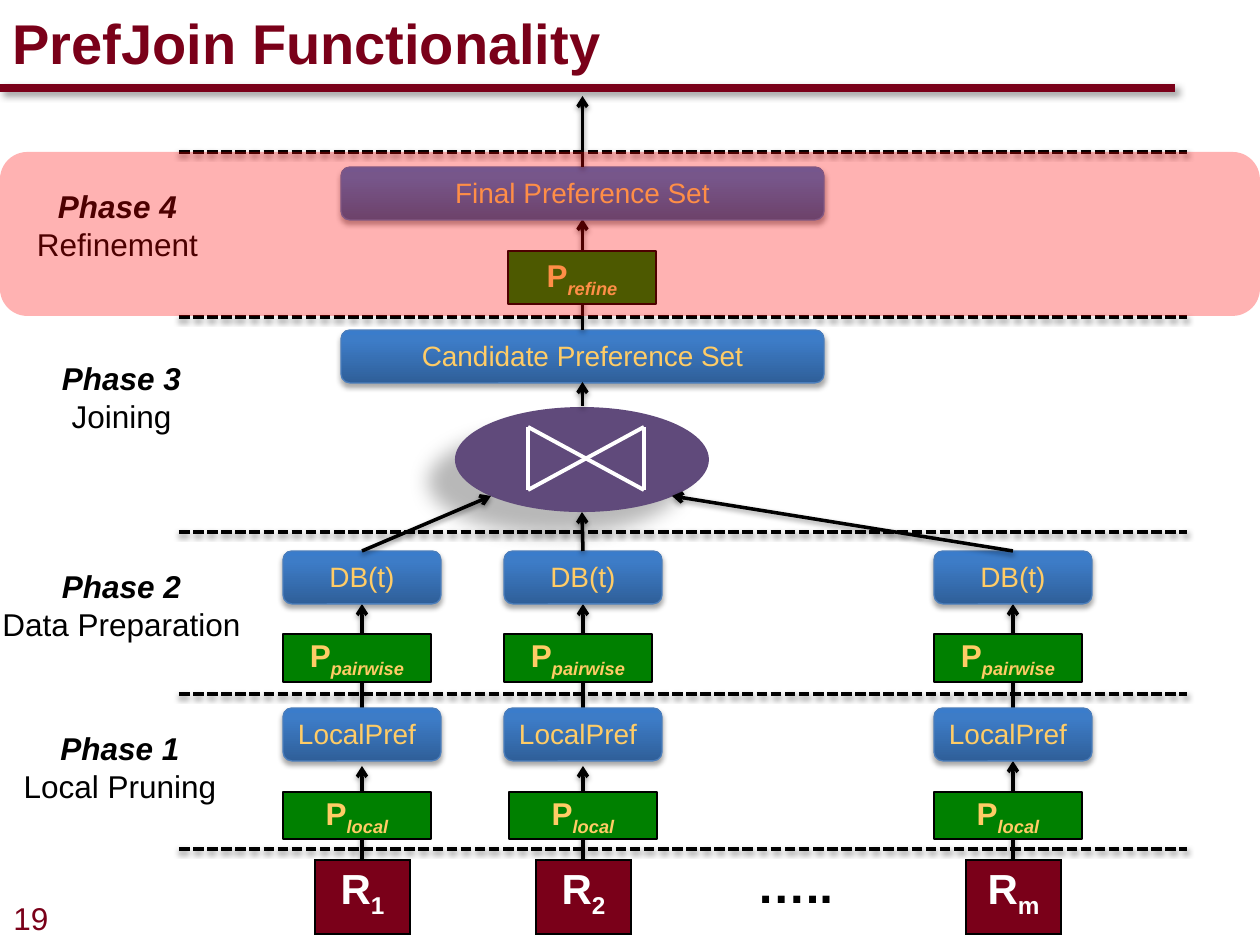
from lxml import etree
from pptx import Presentation
from pptx.dml.color import RGBColor
from pptx.enum.dml import MSO_LINE
from pptx.enum.shapes import MSO_CONNECTOR, MSO_SHAPE
from pptx.enum.text import MSO_ANCHOR, PP_ALIGN
from pptx.oxml import parse_xml
from pptx.oxml.ns import qn
from pptx.util import Emu, Pt

LEFT, CENTER = PP_ALIGN.LEFT, PP_ALIGN.CENTER
TOP, MIDDLE = MSO_ANCHOR.TOP, MSO_ANCHOR.MIDDLE
RECT, ROUND, OVAL = MSO_SHAPE.RECTANGLE, MSO_SHAPE.ROUNDED_RECTANGLE, MSO_SHAPE.OVAL
STRAIGHT, DASH = MSO_CONNECTOR.STRAIGHT, MSO_LINE.SQUARE_DOT
MAROON, GOLD, GREEN, PURPLE = "7A0019", "FFCC66", "008000", "604A7B"
BLACK, WHITE = "000000", "FFFFFF"
NS = 'xmlns:a="http://schemas.openxmlformats.org/drawingml/2006/main"'
BLUE_STOPS = [(0, "2F5F99"), (80, "3D7CC7"), (100, "3A7CCB")]
LINE_SHADOW = (38, 3.1, 1.6, 90)
BOX_SHADOW = (35, 3.1, 1.8, 90)
OVAL_SHADOW = (28, 11.8, 19.7, 141)
RULE_SHADOW = (40, 4, 3, 45)


def px(*values):
    return [Emu(round(v * 914400 / 126)) for v in values]


def rgb(value):
    return RGBColor.from_string(value)


def set_shadow(sp, shadow=None):
    spPr = sp._element.spPr
    effects = spPr.find(qn("a:effectLst"))
    if effects is None:
        effects = etree.SubElement(spPr, qn("a:effectLst"))
    if shadow:
        alpha, blur, dist, angle = shadow
        effects.append(parse_xml(
            f'<a:outerShdw {NS} blurRad="{Pt(blur)}" dist="{Pt(dist)}" '
            f'dir="{angle * 60000}" rotWithShape="0"><a:srgbClr val="{BLACK}">'
            f'<a:alpha val="{alpha * 1000}"/></a:srgbClr></a:outerShdw>'))


def add_line(shapes, x1, y1, x2, y2, color=BLACK, width=2, shadow=LINE_SHADOW,
             arrow=False, dash=None):
    line = shapes.add_connector(STRAIGHT, *px(x1, y1, x2, y2))
    line.line.color.rgb = rgb(color)
    line.line.width = Pt(width)
    if dash:
        line.line.dash_style = dash
    if arrow:
        etree.SubElement(line.line._ln, qn("a:tailEnd"), type="arrow")
    set_shadow(line, shadow)


def add_arrow(s, x1, y1, x2, y2):
    add_line(s.shapes, x1, y1, x2, y2, arrow=True)


def add_shape(shapes, kind, x, y, w, h, fill=None, shadow=None):
    sp = shapes.add_shape(kind, *px(x, y, w, h))
    sp.shadow.inherit = False
    if fill:
        sp.fill.solid()
        sp.fill.fore_color.rgb = rgb(fill)
    sp.line.fill.background()
    set_shadow(sp, shadow)
    return sp


def format_paragraph(p, size, color, bold=False, italic=False, align=CENTER):
    p.alignment = align
    p.font.name = "Arial"
    p.font.size = Pt(size)
    p.font.color.rgb = rgb(color)
    p.font.bold = bold
    p.font.italic = italic


def write_subscript(p, base, sub, size, color, italic=False):
    format_paragraph(p, size, color, bold=True)
    p.add_run().text = base
    r = p.add_run()
    r.text = sub
    if italic:
        r.font.italic = True
    r._r.get_or_add_rPr().set("baseline", "-25000")


def add_set(s, x, y, w, text, align=CENTER):
    sp = add_shape(s.shapes, ROUND, x, y, w, 53, shadow=BOX_SHADOW)
    stops = "".join(f'<a:gs pos="{pos * 1000}"><a:srgbClr val="{c}"/></a:gs>'
                    for pos, c in BLUE_STOPS)
    sp._element.spPr.insert(2, parse_xml(
        f'<a:gradFill {NS} rotWithShape="1"><a:gsLst>{stops}</a:gsLst>'
        f'<a:lin ang="16200000" scaled="0"/></a:gradFill>'))
    sp.line.color.rgb = rgb("4B7EBC")
    sp.line.width = Pt(0.75)
    tf = sp.text_frame
    tf.vertical_anchor = TOP
    tf.text = text
    format_paragraph(tf.paragraphs[0], 16, GOLD, align=align)


def add_operator(s, x, y, h, sub):
    sp = add_shape(s.shapes, RECT, x, y, 148, h, GREEN)
    sp.line.color.rgb = rgb(BLACK)
    sp.line.width = Pt(1.5)
    tf = sp.text_frame
    tf.word_wrap = False
    tf.vertical_anchor = MIDDLE
    write_subscript(tf.paragraphs[0], "P", sub, 18, GOLD, italic=True)


def add_relation(s, x, y, sub):
    table = s.shapes.add_table(1, 1, *px(x, y, 95, 74)).table
    table.first_row = table.horz_banding = False
    cell = table.cell(0, 0)
    tcPr = cell._tc.get_or_add_tcPr()
    for side in ("lnL", "lnR", "lnT", "lnB"):
        tcPr.append(parse_xml(
            f'<a:{side} {NS} w="12700"><a:solidFill><a:srgbClr val="{BLACK}"/>'
            f'</a:solidFill></a:{side}>'))
    cell.fill.solid()
    cell.fill.fore_color.rgb = rgb(MAROON)
    write_subscript(cell.text_frame.paragraphs[0], "R", sub, 24, WHITE)


def add_text(s, x, y, w, h, text, size, color, bold=False):
    tf = s.shapes.add_textbox(*px(x, y, w, h)).text_frame
    tf.word_wrap = True
    tf.text = text
    for p in tf.paragraphs:
        format_paragraph(p, size, color, bold)
    return tf


def add_phase(s, x, y, w, number, name):
    tf = add_text(s, x, y, w, 89, f"Phase {number}\n{name}", 18, BLACK)
    tf.paragraphs[0].font.bold = tf.paragraphs[0].font.italic = True


def add_header(s, title, number):
    sp = s.shapes.title
    sp.left, sp.top, sp.width, sp.height = px(0, 0, 1260, 84)
    tf = sp.text_frame
    tf.text = title
    tf.vertical_anchor = MIDDLE
    format_paragraph(tf.paragraphs[0], 32, MAROON, bold=True, align=LEFT)
    add_line(s.shapes, -1, 88, 1175, 88, MAROON, 4.5, RULE_SHADOW)
    tf = add_text(s, 1, 893, 64, 50, number, 18, MAROON)
    tf.word_wrap = False
    tf.paragraphs[0].alignment = LEFT


def add_column(s, x, y, sub, local_dx, tip):
    mid = x + 79
    add_arrow(s, mid, y + 157, mid, y + 53)
    add_arrow(s, mid, y + 309, mid, y + tip)
    add_relation(s, x + 32, y + 309, sub)
    add_operator(s, x + local_dx, y + 241, 47, "local")
    add_set(s, x, y + 157, 158, "LocalPref", LEFT)
    add_operator(s, x, y + 83, 48, "pairwise")
    add_set(s, x, y, 158, "DB(t)")


def add_join(s, x, y, w, h):
    group = s.shapes.add_group_shape().shapes
    add_shape(group, OVAL, x, y, w, h, PURPLE, OVAL_SHADOW)
    left, right, top, bottom = x + 73, x + 189, y + 20, y + 83
    for ends in ((right, top, left, bottom), (right, bottom, left, top),
                 (right, bottom, right, top), (left, bottom, left, top)):
        add_line(group, *ends, WHITE, 2.25, None)


def add_results(s, x, y, w):
    mid = x + w / 2
    add_set(s, x, y + 163, w, "Candidate Preference Set")
    add_arrow(s, mid, y + 239, mid, y + 215)
    add_arrow(s, mid, y + 163, mid, y + 52)
    add_operator(s, x + 167, y + 84, 53, "refine")
    add_set(s, x, y, w, "Final Preference Set")
    add_arrow(s, mid, y, mid, y - 71)


def add_highlight(s, x, y, w, h):
    sp = add_shape(s.shapes, ROUND, x, y, w, h, "FF0000")
    color = sp._element.spPr.find(qn("a:solidFill"))[0]
    etree.SubElement(color, qn("a:alpha"), val="30000")


prs = Presentation()
prs.slide_width, prs.slide_height = px(1260, 945)
s = prs.slides.add_slide(prs.slide_layouts[5])
add_header(s, "PrefJoin Functionality", "19")
add_join(s, 455, 407, 254, 105)
for y in (152, 317, 532, 694, 849):
    add_line(s.shapes, 179, y, 1187, y, dash=DASH)
for x, sub, local_dx, tip, end in ((283, "1", 0, 215, (491, 496)),
                                   (504, "2", 5, 215, (582, 512)),
                                   (934, "m", 0, 210, (672, 496))):
    add_column(s, x, 551, sub, local_dx, tip)
    add_arrow(s, x + 79, 551, *end)
add_text(s, 737, 848, 116, 72, "…..", 28, BLACK, bold=True)
add_results(s, 341, 167, 483)
for x, y, w, number, name in ((-6, 723, 252, 1, "Local Pruning"),
                              (-31, 561, 305, 2, "Data Preparation"),
                              (-31, 353, 305, 3, "Joining"),
                              (-35, 181, 305, 4, "Refinement")):
    add_phase(s, x, y, w, number, name)
add_highlight(s, 0, 152, 1260, 164)
prs.save("out.pptx")
